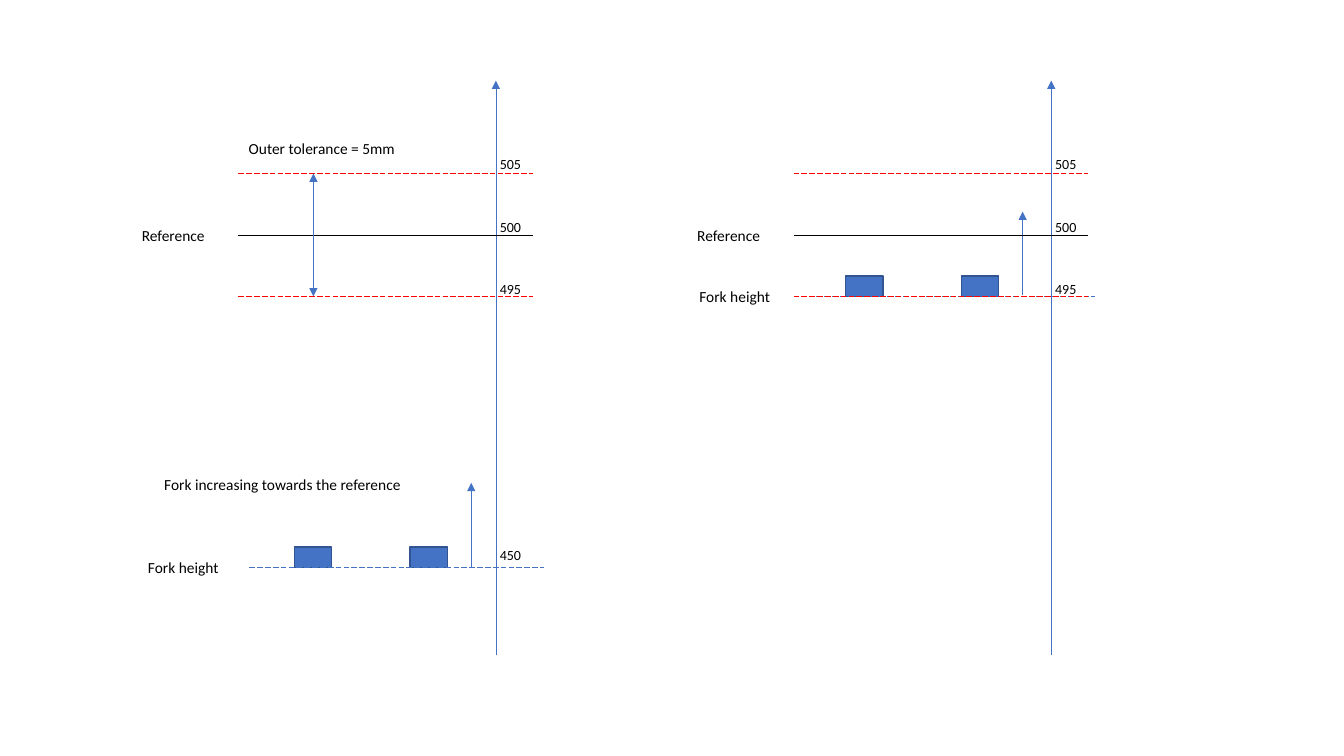
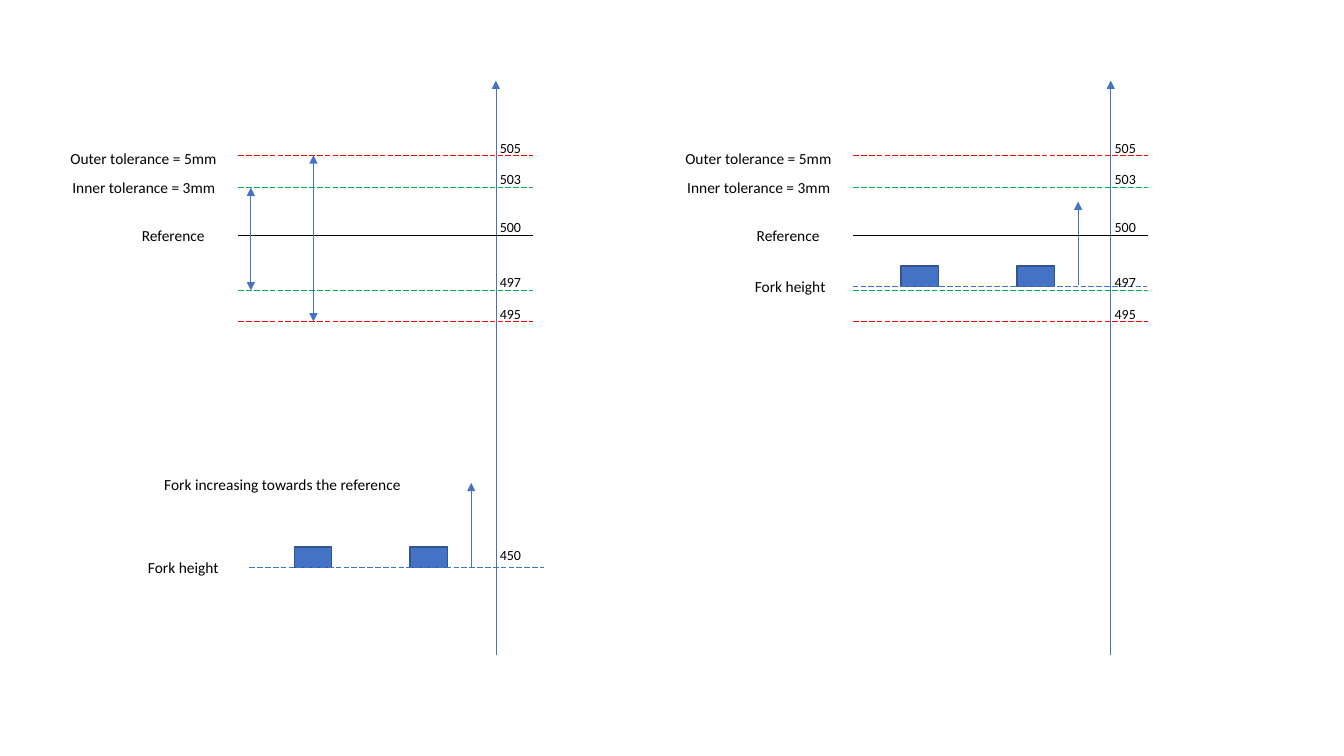
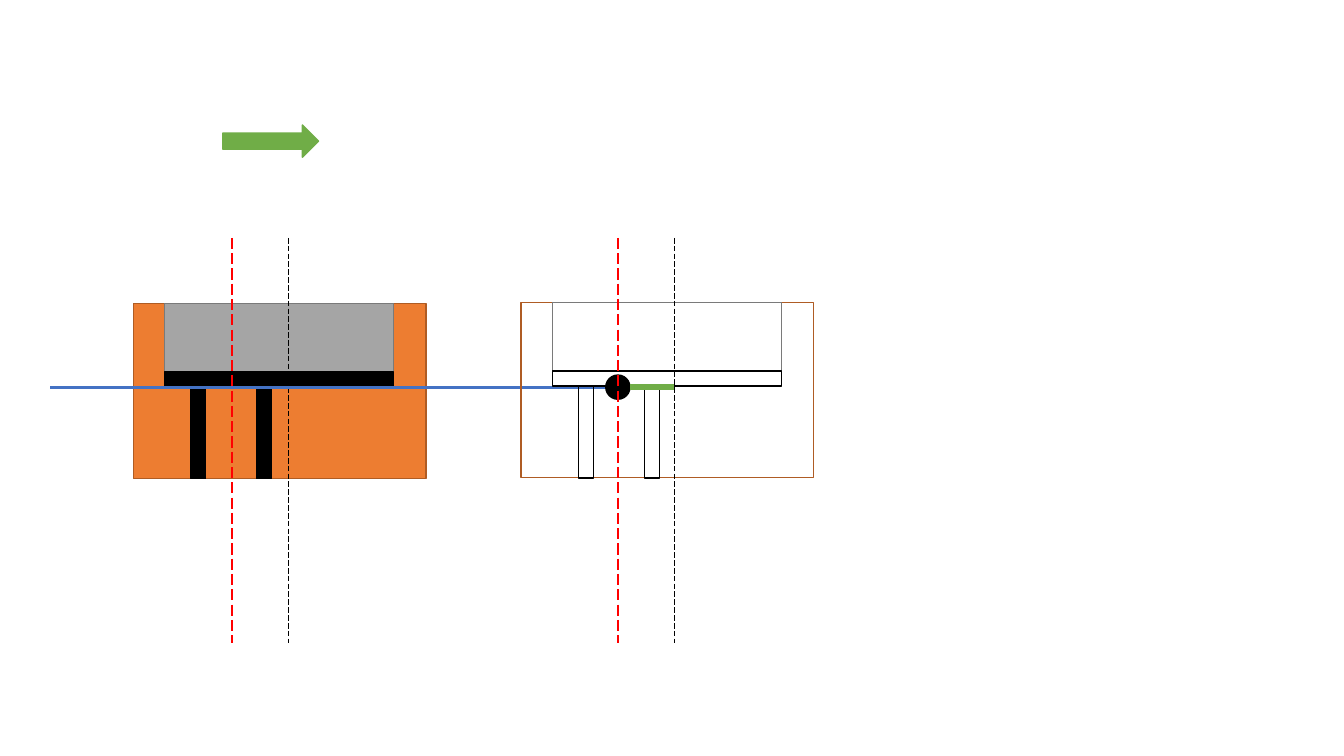
from lxml import etree
from pptx import Presentation
from pptx.dml.color import RGBColor
from pptx.enum import dml, shapes, text
from pptx.oxml.ns import qn
from pptx.util import Pt

FONT = "Calibri"
COLORS = {
    "blue": "4472C4", "fork_edge": "325491", "black": "000000", "red": "FF0000",
    "inner": "00B050", "green": "70AD47", "orange": "ED7D31",
    "orange_edge": "AF5C24", "grey": "A5A5A5", "grey_edge": "7A7A7A",
}

# Height diagram, measured from the panel's left and top edges
AXIS_X, AXIS_HEIGHT = 311, 410.4
LEVEL_X, LEVEL_WIDTH = 127, 210.5
REFERENCE_Y = 110.2
FORK_LOW_Y = 347.8

# Levels: value, distance below the reference, colour, label rise
OUTER_LEVELS = [("500", 0, "black", 15), ("495", 43.9, "red", 14.6),
                ("505", -43.9, "red", 16.5)]
INNER_LEVELS = [("500", 0, "black", 15), ("495", 61.9, "red", 15),
                ("505", -56.9, "red", 15), ("503", -33.8, "inner", 15.6),
                ("497", 39.6, "inner", 15.6)]


def color(name):
    return RGBColor.from_string(COLORS[name])


def add_line(slide, x1, y1, x2, y2, stroke="blue", width=0.5, dashed=False, arrow=False):
    line = slide.shapes.add_connector(
        shapes.MSO_CONNECTOR.STRAIGHT, Pt(x1), Pt(y1), Pt(x2), Pt(y2))
    line.line.color.rgb = color(stroke)
    line.line.width = Pt(width)
    if dashed:
        line.line.dash_style = dml.MSO_LINE.LONG_DASH
    properties = line.element.spPr
    if arrow:
        etree.SubElement(properties.find(qn("a:ln")), qn("a:tailEnd"), type="triangle")
    etree.SubElement(properties, qn("a:effectLst"))


def add_block(parent, x, y, width, height, fill, edge, kind=shapes.MSO_SHAPE.RECTANGLE):
    block = parent.shapes.add_shape(kind, Pt(x), Pt(y), Pt(width), Pt(height))
    block.shadow.inherit = False
    if fill:
        block.fill.solid()
        block.fill.fore_color.rgb = color(fill)
    else:
        block.fill.background()
    block.line.color.rgb = color(edge)
    block.line.width = Pt(1)


def add_label(slide, words, x, y, width, size=11, wrap=False):
    label = slide.shapes.add_textbox(Pt(x), Pt(y), Pt(width), Pt(size * 1.2 + 7.2))
    frame = label.text_frame
    frame.word_wrap = wrap
    frame.auto_size = text.MSO_AUTO_SIZE.SHAPE_TO_FIT_TEXT
    frame.text = words
    font = frame.paragraphs[0].runs[0].font
    font.name, font.size, font.color.rgb = FONT, Pt(size), color("black")


def add_value(slide, value, left, y):
    add_label(slide, value, left + AXIS_X - 4.3, y, 37.4, size=10, wrap=True)


def add_fork(slide, left, y, line_inset=79.5):
    """Two tines standing on the fork line, with an upward arrow."""
    for tine_x in (111.6, 194.4):
        add_block(slide, left + tine_x, y - 14.6, 26.6, 14.6, "blue", "fork_edge")
    line_x = left + line_inset
    add_line(slide, line_x, y, line_x + LEVEL_WIDTH, y, dashed=True)
    add_label(slide, "Fork height", left, y - 10.1, 79.2)
    add_line(slide, left + 238, y - 0.7, left + 238, y - 60.5, arrow=True)


def add_scale(slide, left, top, levels):
    """Level lines with their values and the reference label."""
    reference_y = top + REFERENCE_Y
    for value, distance, stroke, rise in levels:
        y = reference_y + distance
        add_line(slide, left + LEVEL_X, y, left + LEVEL_X + LEVEL_WIDTH, y, stroke,
                 dashed=distance != 0)
        add_value(slide, value, left, y - rise)
    add_label(slide, "Reference", left + 51, reference_y - 10.1, 71.3)


def add_panel(slide, left, top, levels, fork_x, fork_y, line_inset=79.5):
    axis_x = left + AXIS_X
    add_line(slide, axis_x, top + AXIS_HEIGHT, axis_x, top, arrow=True)
    add_fork(slide, left + fork_x, top + fork_y, line_inset)
    add_scale(slide, left, top, levels)


def add_approach_panel(slide, left, top, levels, ranges):
    """Panel with the fork far below; ranges give x and the levels that bound it."""
    add_panel(slide, left, top, levels, 55.4, FORK_LOW_Y)
    add_value(slide, "450", left, top + FORK_LOW_Y - 18.7)
    add_label(slide, "Fork increasing towards the reference", left + 67, top + 278.6, 226.8)
    reference_y = top + REFERENCE_Y
    distances = {value: distance for value, distance, *_ in levels}
    for range_x, bounds in ranges:
        for bound in bounds:
            add_line(slide, left + range_x, reference_y, left + range_x,
                     reference_y + distances[bound], arrow=True)


def add_outer_label(slide, x, y):
    add_label(slide, "Outer tolerance = 5mm", x, y, 144.7)


def add_tolerance_labels(slide, left, top):
    add_outer_label(slide, left, top + 45.4)
    add_label(slide, "Inner tolerance = 3mm", left + 1.4, top + 66.3, 121, wrap=True)


def add_device(slide, left, top, filled):
    """Housing with an inset block, a bar below it and two posts."""
    parts = [
        (0, 0, 209, 125.3, "orange", "orange_edge"),
        (22.5, 0, 163.5, 49, "grey", "grey_edge"),
        (88, 59.8, 10.8, 65.5, "black", "black"),
        (22.5, 49, 163.5, 10.8, "black", "black"),
        (41, 59.8, 10.8, 65.5, "black", "black"),
    ]
    device = slide.shapes.add_group_shape()
    for x, y, width, height, fill, edge in parts:
        add_block(device, left + x, top + y, width, height, fill if filled else None, edge)


def add_guides(slide, left, top, gap=40.3, height=289.4):
    add_line(slide, left, top, left, top + height, "red", 1, dashed=True)
    add_line(slide, left + gap, top, left + gap, top + height, "black", dashed=True)


def build_outer_tolerance(slide, left=43.2, top=57.6):
    add_approach_panel(slide, left, top, OUTER_LEVELS, [(180.7, ("505", "495"))])
    add_outer_label(slide, left + 127.4, top + 38.2)
    # Fork at the lower outer limit
    add_panel(slide, left + 396.7, top, OUTER_LEVELS, 52.6, REFERENCE_Y + 43.9)


def build_inner_tolerance(slide, left=43.2, top=57.6):
    add_approach_panel(slide, left, top, INNER_LEVELS,
                       [(180.7, ("505", "495")), (136, ("503", "497"))])
    # Fork just inside the inner tolerance
    right = left + 439.2
    add_panel(slide, right, top, INNER_LEVELS, 49.7, REFERENCE_Y + 36.7, line_inset=77)
    for panel_left in (left, right):
        add_tolerance_labels(slide, panel_left, top)


def build_movement(slide, left=36, top=89.3):
    path_y, guide_top = top + 187.2, top + 80.6
    # Starting position and direction of travel
    add_device(slide, left + 59.2, top + 127.4, filled=True)
    add_guides(slide, left + 129.6, guide_top)
    add_block(slide, left + 123.1, top, 68.4, 23, "green", "green",
              shapes.MSO_SHAPE.RIGHT_ARROW)
    # Travelled path and its end point
    add_line(slide, left, path_y, left + 396.7, path_y, width=2.25)
    add_block(slide, left + 396.7, path_y - 8.6, 17.3, 17.3, "black", "black",
              shapes.MSO_SHAPE.OVAL)
    # End position and remaining offset
    add_device(slide, left + 336.2, top + 126.7, filled=False)
    add_guides(slide, left + 405.4, guide_top)
    add_line(slide, left + 414, path_y, left + 445.7, path_y, "green", 4.5)


def main():
    deck = Presentation()
    deck.slide_width, deck.slide_height = Pt(960), Pt(540)
    for build in (build_outer_tolerance, build_inner_tolerance, build_movement):
        build(deck.slides.add_slide(deck.slide_layouts[6]))
    deck.save("out.pptx")


if __name__ == "__main__":
    main()
